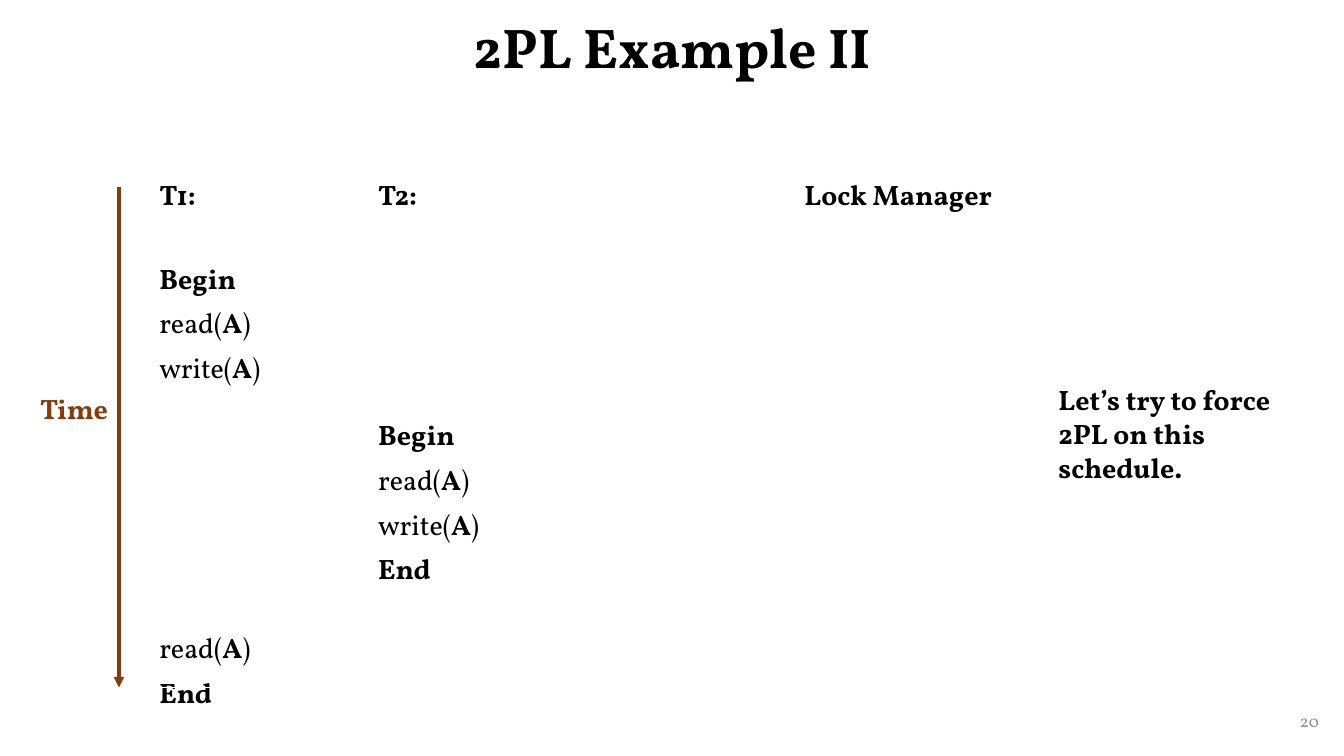
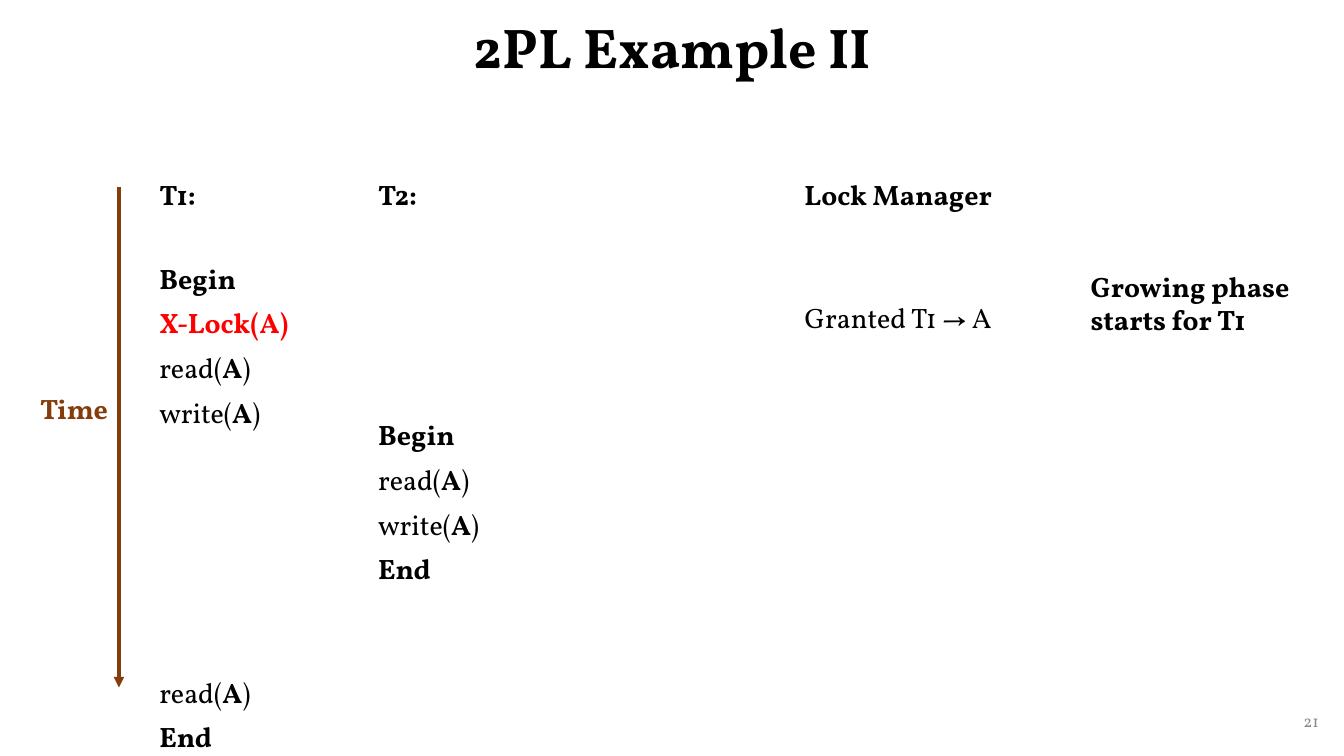
from lxml.etree import SubElement
from pptx import Presentation
from pptx.dml.color import RGBColor
from pptx.enum.shapes import MSO_CONNECTOR
from pptx.enum.text import MSO_ANCHOR, PP_ALIGN
from pptx.oxml.ns import qn
from pptx.util import Inches, Pt

WIDTH, HEIGHT = Inches(13.33), Inches(7.5)
FONT = "Vollkorn"
BLACK = RGBColor(0x00, 0x00, 0x00)
BROWN = RGBColor(0x84, 0x3C, 0x0B)
RED = RGBColor(0xFF, 0x00, 0x00)
GREY = RGBColor(0x8C, 0x8C, 0x8C)
LINE_HEIGHT, STEP = 24, 28
TABLE_TOP, TABLE_HEIGHT = 22.93, 44.8

READ, WRITE, BEGIN, END = "read(*A*)", "write(*A*)", "*Begin*", "*End*"
SECOND_TRANSACTION = {0: "*T2:*", 6: BEGIN, 7: READ, 8: WRITE, 9: END}
LOCK_HEADING = {0: "*Lock Manager*"}
SLIDES = [
    {
        "number": 20,
        "first": {0: "*T1:*", 2: BEGIN, 3: READ, 4: WRITE, 11: READ, 12: END},
        "locks": LOCK_HEADING,
        "note": ("Let’s try to force 2PL on this schedule.", (78.02, 50, 21.16, 10.27)),
    },
    {
        "number": 21,
        "first": {0: "*T1:*", 2: BEGIN, 3: "*X-Lock(A)*", 4: READ, 5: WRITE,
                  12: READ, 13: END},
        "locks": LOCK_HEADING | {3: "Granted T1 → A"},
        "note": ("Growing phase starts for T1", (80.42, 34.93, 17.1, 10.27)),
    },
]


def across(percent):
    """Return a share of the slide's width."""
    return round(WIDTH * percent / 100)


def down(percent):
    """Return a share of the slide's height."""
    return round(HEIGHT * percent / 100)


def place(left, top, width, height):
    """Turn four percentages into a position and a size."""
    return across(left), down(top), across(width), down(height)


def style_font(font, size=20, color=BLACK, bold=True):
    """Apply the deck's typeface with the given look."""
    font.name, font.size, font.bold = FONT, Pt(size), bold
    font.color.rgb = color


def add_title(slide, text):
    """Fill and place the title placeholder."""
    title = slide.shapes.title
    title.left, title.top, title.width, title.height = place(6.9, 0, 86.27, 13.2)
    title.text_frame.text = text
    title.text_frame.vertical_anchor = MSO_ANCHOR.MIDDLE
    paragraph = title.text_frame.paragraphs[0]
    paragraph.alignment = PP_ALIGN.CENTER
    paragraph.line_spacing = 0.9
    style_font(paragraph.runs[0].font, 40)


def add_label(slide, text, box, wrap=True, align=PP_ALIGN.LEFT,
              anchor=MSO_ANCHOR.TOP, **look):
    """Add a one-paragraph text box."""
    frame = slide.shapes.add_textbox(*place(*box)).text_frame
    frame.word_wrap = wrap
    frame.vertical_anchor = anchor
    frame.text = text
    frame.paragraphs[0].alignment = align
    style_font(frame.paragraphs[0].runs[0].font, **look)


def add_timeline(slide):
    """Draw the downward time arrow and its label."""
    arrow = slide.shapes.add_connector(
        MSO_CONNECTOR.STRAIGHT, across(8.85), down(24.8), across(8.85), down(90.93))
    arrow.line.color.rgb = BROWN
    arrow.line.width = Pt(2.5)
    SubElement(arrow.line._get_or_add_ln(), qn("a:tailEnd"), type="triangle")
    SubElement(arrow._element.spPr, qn("a:effectLst"))
    add_label(slide, "Time", (2.25, 51.07, 6.68, 5.87), wrap=False, color=BROWN)


def write_steps(cell, steps, align):
    """Write each step on its time row, with starred parts in bold."""
    cell.fill.background()
    previous = None
    for row, text in steps.items():
        if previous is None:
            paragraph = cell.text_frame.paragraphs[0]
        else:
            paragraph = cell.text_frame.add_paragraph()
            paragraph.space_before = Pt((row - previous) * STEP - LINE_HEIGHT)
        paragraph.alignment = align
        color = RED if "X-Lock" in text else BLACK
        for index, part in enumerate(text.split("*")):
            if part:
                run = paragraph.add_run()
                run.text = part
                style_font(run.font, color=color, bold=index % 2 == 1)
        previous = row


def add_schedule(slide, left, widths, columns, align=PP_ALIGN.LEFT):
    """Add a one-row table with a list of steps in each column."""
    box = place(left, TABLE_TOP, sum(widths), TABLE_HEIGHT)
    table = slide.shapes.add_table(1, len(columns), *box).table
    table.first_row = table.horz_banding = False
    for index, (width, steps) in enumerate(zip(widths, columns)):
        table.columns[index].width = across(width)
        write_steps(table.cell(0, index), steps, align)


def add_example(presentation, number, first, locks, note):
    """Build one slide of the locking example."""
    slide = presentation.slides.add_slide(presentation.slide_layouts[5])
    add_title(slide, "2PL Example II")
    add_label(slide, str(number), (76.37, 92.67, 22.5, 5.33), align=PP_ALIGN.RIGHT,
              anchor=MSO_ANCHOR.MIDDLE, size=12, color=GREY, bold=False)
    add_schedule(slide, 11.1, [16.28, 15.38], [first, SECOND_TRANSACTION])
    add_timeline(slide)
    add_schedule(slide, 56.56, [20.55], [locks], PP_ALIGN.CENTER)
    add_label(slide, *note)


def main():
    """Build and save the presentation."""
    presentation = Presentation()
    presentation.slide_width, presentation.slide_height = WIDTH, HEIGHT
    for content in SLIDES:
        add_example(presentation, **content)
    presentation.save("out.pptx")


if __name__ == "__main__":
    main()
